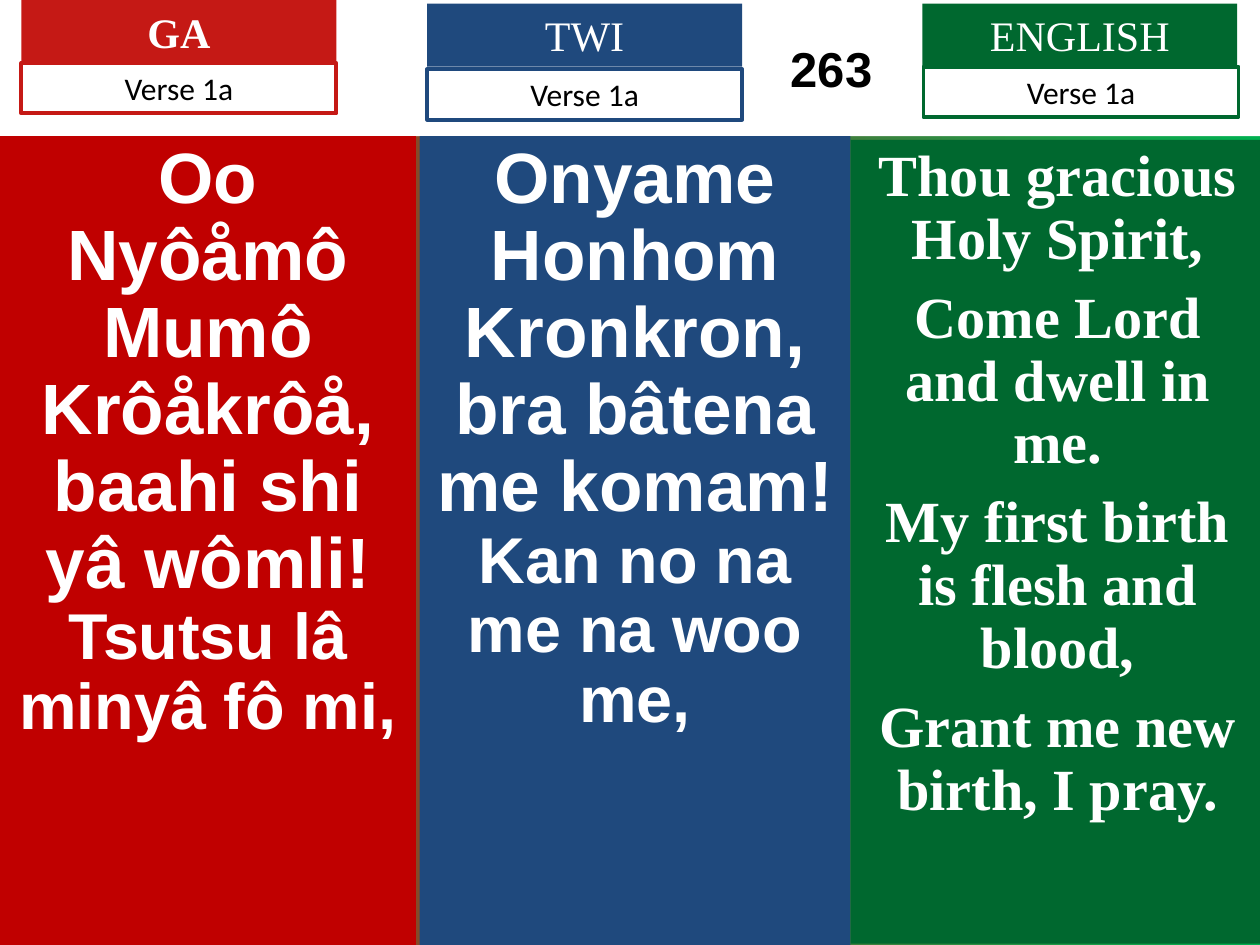
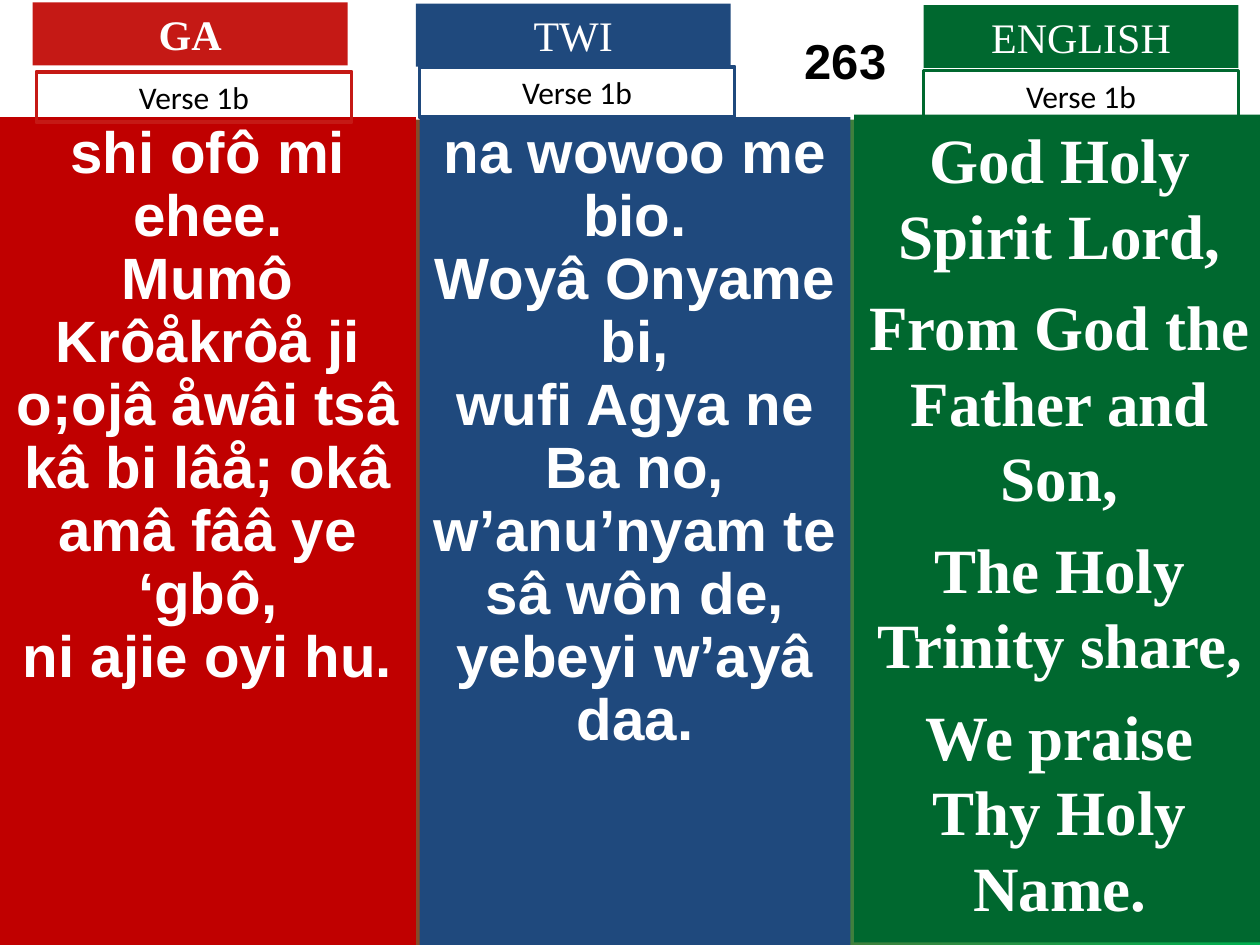
from lxml import etree
from pptx import Presentation
from pptx.dml.color import RGBColor
from pptx.enum import shapes, text
from pptx.oxml import ns
from pptx.util import Emu, Inches, Pt

# Shared grid: 10 columns by 7.5 rows of one inch
COLS, ROWS = 10, 7.5
CELL = Inches(1)
TAG_W, TAG_H, BOX_H = 2.5, 0.5, 0.4

# Shared colours and fonts
WHITE = RGBColor(0xFF, 0xFF, 0xFF)
BLACK = RGBColor(0, 0, 0)
RED = RGBColor(0xC5, 0x19, 0x15)
DEEP = RGBColor(0xC0, 0, 0)
BLUE = RGBColor(0x1F, 0x49, 0x7D)
GREEN = RGBColor(0, 0x68, 0x2F)
LIME = RGBColor(0, 0xB0, 0x50)
SANS, SERIF, LABEL = "Arial", "Times New Roman", "Calibri"

# Language: tag colour, panel colour, lyric font, bold tag, space before
TONGUES = {
    "GA": (RED, DEEP, SANS, True, 0),
    "TWI": (BLUE, BLUE, SANS, False, 0),
    "ENGLISH": (GREEN, GREEN, SERIF, False, 9),
}

# Each part: panel place, tag corner, verse corner, line spacing, lyrics
HYMN = "263"
VERSES = [
    {
        "name": "Verse 1a", "head": 1.08, "shift": 3.3,
        "parts": {
            "GA": ((0, 1.08, 3.3, 6.42), (0.17, 0), (0.17, 0.5), 0.9, [
                ("Oo Nyôåmô Mumô Krôåkrôå,", 40.7),
                ("baahi shi yâ wômli!", 40.7),
                ("Tsutsu lâ minyâ fô mi,", 37)]),
            "TWI": ((3.33, 1.08, 3.42, 6.42), (3.39, 0.03), (3.39, 0.55), 0.9, [
                ("Onyame Honhom Kronkron,", 40.7),
                ("bra bâtena me komam!", 40.7),
                ("Kan no na me na woo me,", 37)]),
            "ENGLISH": ((6.75, 1.11, 3.29, 6.38), (7.32, 0.03), (7.33, 0.53), 0.9, [
                ("Thou gracious Holy Spirit,", 33.3),
                ("Come Lord and dwell in me.", 33.3),
                ("My first birth is flesh and blood,", 33.3),
                ("Grant me new birth, I pray.", 33.3)]),
        },
    },
    {
        "name": "Verse 1b", "head": 0.95, "shift": 3.52,
        "parts": {
            "GA": ((0, 0.93, 3.3, 6.57), (0.26, 0.02), (0.29, 0.57), 0.9, [
                ("shi ofô mi ehee.", 33.3),
                ("Mumô Krôåkrôå ji o;ojâ åwâi tsâ kâ bi lâå; okâ amâ fââ ye ‘gbô,", 33.3),
                ("ni ajie oyi hu.", 33.3)]),
            "TWI": ((3.33, 0.93, 3.42, 6.57), (3.3, 0.03), (3.33, 0.53), 0.9, [
                ("na wowoo me bio.", 33.3),
                ("Woyâ Onyame bi,", 33.3),
                ("wufi Agya ne Ba no, w’anu’nyam te sâ wôn de,", 33.3),
                ("yebeyi w’ayâ daa.", 33.3)]),
            "ENGLISH": ((6.78, 0.91, 3.26, 6.57), (7.33, 0.04), (7.33, 0.56), 1, [
                ("God Holy Spirit Lord,", 36),
                ("From God the Father and Son,", 36),
                ("The Holy Trinity share,", 36),
                ("We praise Thy Holy Name.", 36)]),
        },
    },
]


def spots(*cells):
    return [Emu(round(cell * CELL)) for cell in cells]


def place(shape, *cells):
    shape.left, shape.top, shape.width, shape.height = spots(*cells)


def paint(shape, color):
    shape.fill.solid()
    shape.fill.fore_color.rgb = color


def frame(shape, anchor=text.MSO_ANCHOR.TOP):
    body = shape.text_frame
    body.word_wrap = True
    body.auto_size = text.MSO_AUTO_SIZE.NONE
    body.vertical_anchor = anchor
    body.margin_left = body.margin_right = Inches(0.1)
    body.margin_top = body.margin_bottom = Inches(0.05)
    return body


def write(para, words, size, font, color, bold=False):
    para.alignment = text.PP_ALIGN.CENTER
    run = para.add_run()
    run.text = words
    run.font.size = Pt(size)
    run.font.name = font
    run.font.bold = bold
    run.font.color.rgb = color


def plain(para):
    """Drop the bullet and the indent of a list paragraph."""
    props = para._p.get_or_add_pPr()
    props.set("marL", "0")
    props.set("indent", "0")
    etree.SubElement(props, ns.qn("a:buNone"))


def block(slide, cells, color):
    shape = slide.shapes.add_shape(shapes.MSO_SHAPE.RECTANGLE, *spots(*cells))
    shape.shadow.inherit = False
    shape.line.fill.background()
    paint(shape, color)
    return shape


def back(slide):
    fill = slide.background.fill
    fill.gradient()
    fill.gradient_angle = 0
    for stop, color, at in zip(fill.gradient_stops, (RED, LIME), (0, 1)):
        stop.color.rgb = color
        stop.position = at


def title(slide, tall, shift):
    head = slide.shapes.title
    place(head, 0, 0, COLS, tall)
    paint(head, WHITE)
    body = frame(head, text.MSO_ANCHOR.MIDDLE)
    body.margin_left = Inches(shift)
    write(body.paragraphs[0], HYMN, 28, SANS, BLACK, True)


def lyrics(shape, lines, font, pitch, gap):
    body = frame(shape)
    for row, (words, size) in enumerate(lines):
        para = body.add_paragraph() if row else body.paragraphs[0]
        plain(para)
        para.line_spacing = pitch
        para.space_before = Pt(gap if row else 0)
        write(para, words, size, font, WHITE, True)


def tag(slide, corner, words, color, bold):
    shape = block(slide, (*corner, TAG_W, TAG_H), color)
    write(frame(shape).paragraphs[0], words, 24, SERIF, WHITE, bold)


def label(slide, corner, words, color):
    box = slide.shapes.add_textbox(*spots(*corner, TAG_W, BOX_H))
    box.line.color.rgb = color
    box.line.width = Pt(2.25)
    write(frame(box).paragraphs[0], words, 18, LABEL, BLACK)


def verse(deck, data):
    slide = deck.slides.add_slide(deck.slide_layouts[3])
    back(slide)
    title(slide, data["head"], data["shift"])
    lists = dict(zip(("GA", "TWI"), list(slide.placeholders)[1:]))
    for tongue, (hue, fill, font, bold, gap) in TONGUES.items():
        cells, top, low, pitch, lines = data["parts"][tongue]
        # Lyric panel
        panel = lists.get(tongue)
        if panel is None:
            panel = block(slide, cells, fill)
        else:
            place(panel, *cells)
            paint(panel, fill)
        lyrics(panel, lines, font, pitch, gap)
        # Language tag and verse label
        tag(slide, top, tongue, hue, bold)
        label(slide, low, data["name"], hue)


def main():
    deck = Presentation()
    deck.slide_width, deck.slide_height = spots(COLS, ROWS)
    for data in VERSES:
        verse(deck, data)
    deck.save("out.pptx")


if __name__ == "__main__":
    main()
